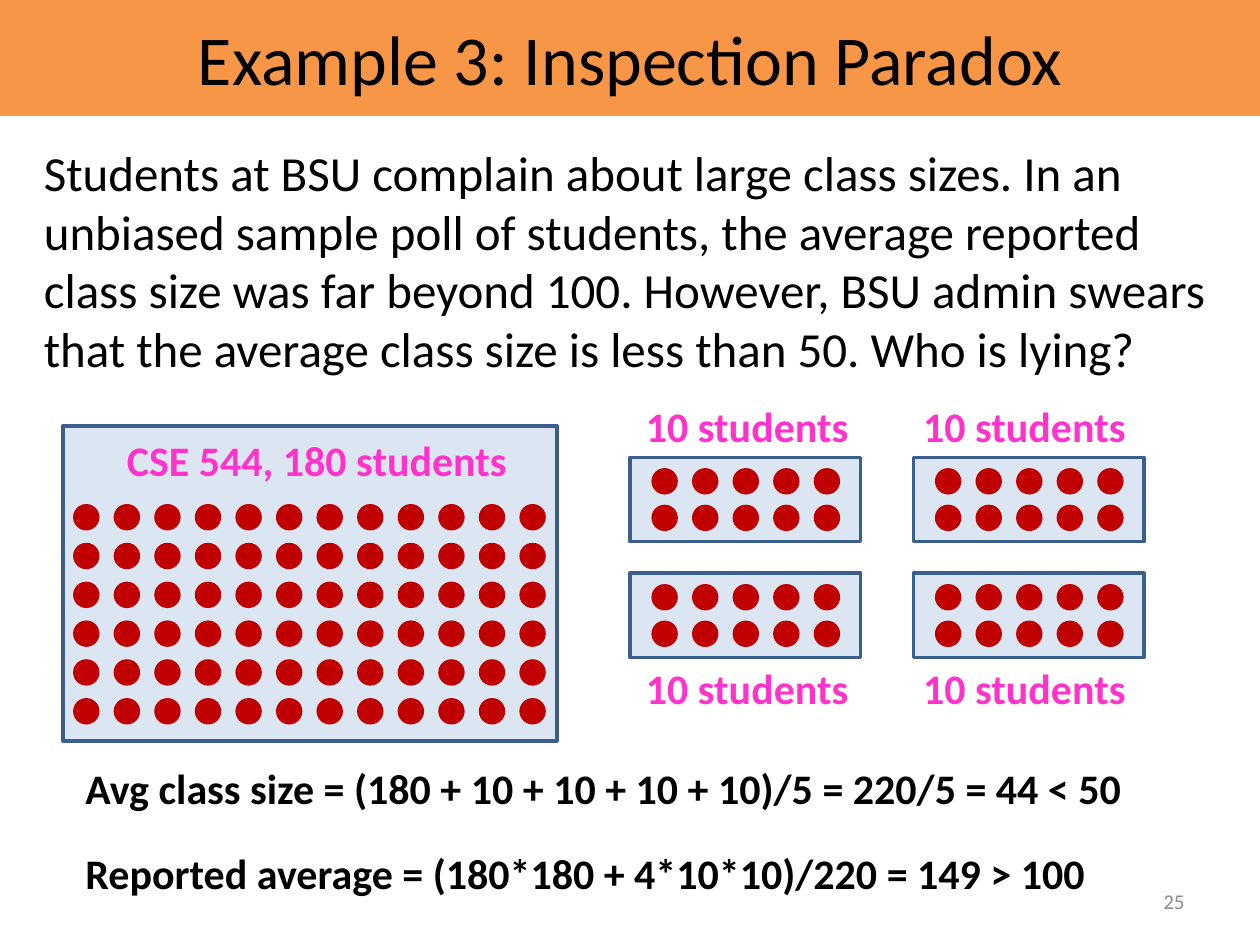
from dataclasses import dataclass

from pptx import Presentation
from pptx.dml.color import RGBColor
from pptx.enum.shapes import MSO_SHAPE
from pptx.enum.text import MSO_ANCHOR, PP_ALIGN
from pptx.shapes.autoshape import Shape
from pptx.shapes.group import GroupShape
from pptx.slide import Slide
from pptx.util import Inches, Pt

ORANGE = "F79646"
PALE_BLUE = "DCE6F2"
BORDER_BLUE = "3A5F8C"
RED = "C00000"
PINK = "FF33CC"
BLACK = "000000"
GREY = "8C8C8C"

DOT_SIZE = 0.21
DOT_STEP = 0.322


@dataclass
class Area:
    left: float
    top: float
    width: float
    height: float


@dataclass
class Label:
    text: str
    area: Area
    size: int = 24
    color: str = BLACK
    bold: bool = True
    align: PP_ALIGN = PP_ALIGN.LEFT
    anchor: MSO_ANCHOR = MSO_ANCHOR.TOP
    space_before: int = 0
    space_after: int = 0


def rgb(color: str) -> RGBColor:
    return RGBColor.from_string(color)


def add_filled(parent: Slide | GroupShape, kind: MSO_SHAPE, area: Area,
               fill: str, border: str | None = None) -> Shape:
    shapes = parent.shapes
    shape = shapes.add_shape(kind, Inches(area.left), Inches(area.top),
                             Inches(area.width), Inches(area.height))
    shape.shadow.inherit = False
    shape.fill.solid()
    shape.fill.fore_color.rgb = rgb(fill)
    if border:
        shape.line.color.rgb = rgb(border)
        shape.line.width = Pt(2)
    else:
        shape.line.fill.background()
    return shape


def write(shape: Shape, label: Label) -> None:
    frame = shape.text_frame
    frame.word_wrap = True
    frame.vertical_anchor = label.anchor
    para = frame.paragraphs[0]
    para.text = label.text
    para.alignment = label.align
    para.space_before = Pt(label.space_before)
    para.space_after = Pt(label.space_after)
    para.font.name = "Calibri"
    para.font.size = Pt(label.size)
    para.font.bold = label.bold
    para.font.color.rgb = rgb(label.color)


def add_label(slide: Slide, label: Label) -> None:
    area = label.area
    box = slide.shapes.add_textbox(Inches(area.left), Inches(area.top),
                                   Inches(area.width), Inches(area.height))
    write(box, label)


def add_dot_row(group: GroupShape, left: float, top: float, count: int) -> None:
    for column in range(count):
        area = Area(left + column * DOT_STEP, top, DOT_SIZE, DOT_SIZE)
        add_filled(group, MSO_SHAPE.OVAL, area, RED)


def add_large_class(slide: Slide) -> None:
    add_filled(slide, MSO_SHAPE.RECTANGLE, Area(0.5, 3.38, 3.92, 2.5),
               PALE_BLUE, BORDER_BLUE)
    for row in range(6):
        add_dot_row(slide.shapes.add_group_shape(), 0.58, 4 + row * 0.308, 12)
    add_label(slide, Label("CSE 544, 180 students", Area(0.85, 3.4, 3.33, 0.5),
                           color=PINK, align=PP_ALIGN.CENTER))


def add_small_class(slide: Slide, left: float, top: float) -> None:
    group = slide.shapes.add_group_shape()
    add_filled(group, MSO_SHAPE.RECTANGLE, Area(left, top, 1.83, 0.67),
               PALE_BLUE, BORDER_BLUE)
    for row in range(2):
        add_dot_row(group, left + 0.17, top + 0.085 + row * 0.29, 5)


def main() -> None:
    deck = Presentation()
    deck.slide_width, deck.slide_height = Inches(10), Inches(7.5)
    slide = deck.slides.add_slide(deck.slide_layouts[6])

    title = Label("Example 3: Inspection Paradox", Area(0, 0, 10, 0.92), 40,
                  bold=False, align=PP_ALIGN.CENTER, anchor=MSO_ANCHOR.MIDDLE)
    write(add_filled(slide, MSO_SHAPE.RECTANGLE, title.area, ORANGE), title)

    add_label(slide, Label("25", Area(7.17, 6.95, 2.33, 0.4), 12, GREY, False,
                           PP_ALIGN.RIGHT, MSO_ANCHOR.MIDDLE))
    add_label(slide, Label(
        "Students at BSU complain about large class sizes. In an unbiased "
        "sample poll of students, the average reported class size was far "
        "beyond 100. However, BSU admin swears that the average class size "
        "is less than 50. Who is lying?",
        Area(0.25, 1.08, 9.5, 2.47), 28, bold=False,
        space_before=12, space_after=6))

    add_large_class(slide)
    for class_left, label_left in ((5, 4.97), (7.25, 7.17)):
        for class_top, label_top in ((3.63, 3.13), (4.55, 5.21)):
            add_small_class(slide, class_left, class_top)
            add_label(slide, Label("10 students",
                                   Area(label_left, label_top, 1.92, 0.5),
                                   color=PINK, align=PP_ALIGN.CENTER))

    add_label(slide, Label(
        "Avg class size = (180 + 10 + 10 + 10 + 10)/5 = 220/5 = 44 < 50",
        Area(0.58, 6, 8.67, 0.5)))
    add_label(slide, Label(
        "Reported average = (180*180 + 4*10*10)/220 = 149 > 100",
        Area(0.58, 6.68, 8.58, 0.5)))

    deck.save("out.pptx")


if __name__ == "__main__":
    main()
